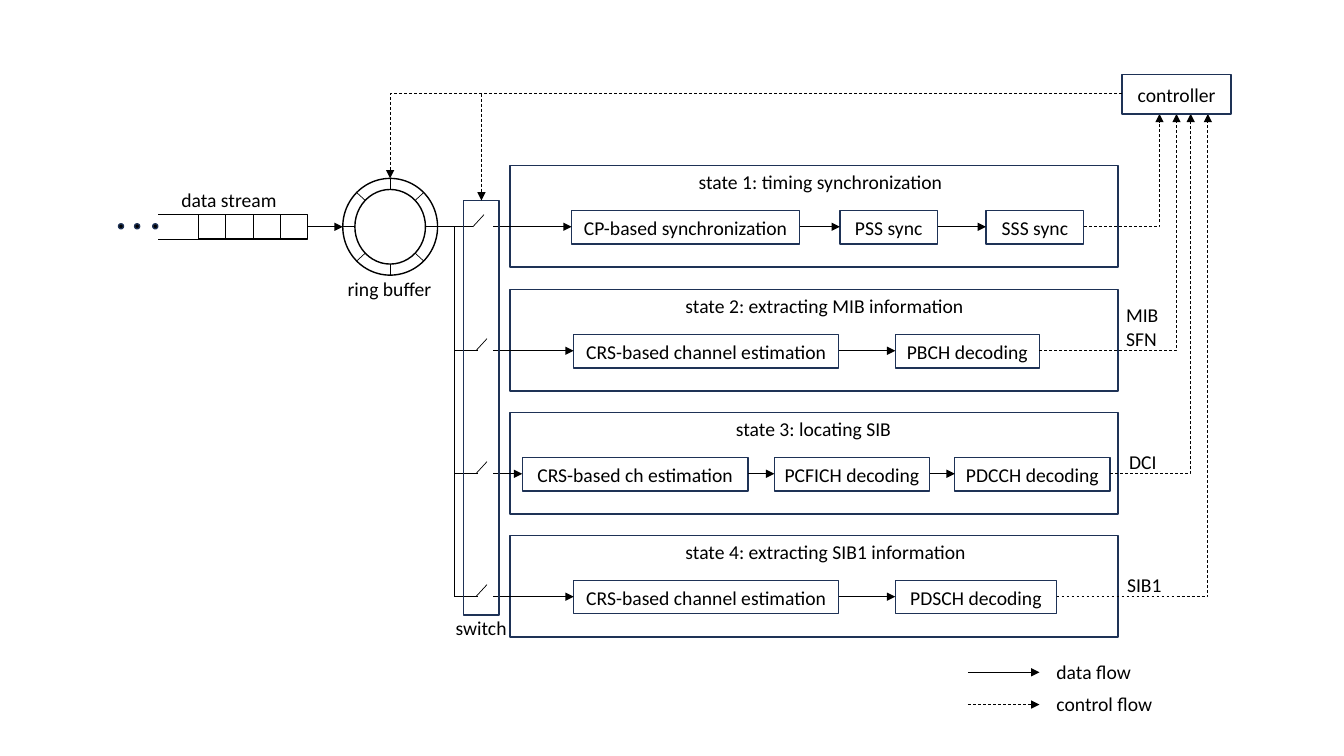
import itertools
import math
import lxml.etree
import pptx
import pptx.dml.color
import pptx.enum.dml
import pptx.enum.shapes
import pptx.enum.text
import pptx.oxml.ns
import pptx.util

# Content: lengths in px, 100 px to the inch
SCALE = 9144
BLACK = pptx.dml.color.RGBColor(0, 0, 0)
NAVY = pptx.dml.color.RGBColor(0x1E, 0x32, 0x56)
FONT, FONT_SIZE = "Calibri", 14

# Each state: top, heading, heading left, blocks (text, left, width),
# x where its control flow reaches the controller
STATES = [
    (164, "state 1: timing synchronization", 683,
     [("CP-based synchronization", 567, 226), ("PSS sync", 833, 97), ("SSS sync", 978, 97)], 1150),
    (287, "state 2: extracting MIB information", 670,
     [("CRS-based channel estimation", 569, 263), ("PBCH decoding", 888, 143)], 1167),
    (409, "state 3: locating SIB", 720,
     [("CRS-based ch estimation", 518, 224), ("PCFICH decoding", 768, 154),
      ("PDCCH decoding", 947, 154)], 1181),
    (531, "state 4: extracting SIB1 information", 670,
     [("CRS-based channel estimation", 569, 263), ("PDSCH decoding", 888, 160)], 1198),
]
# Labels: lines, left, top, width
LABELS = [
    (["data stream"], 170, 182, 183),
    (["ring buffer"], 335, 270, 124),
    (["switch"], 442, 606, 124),
    (["MIB", "SFN"], 1107, 296, 57),
    (["DCI"], 1110, 441, 57),
    (["SIB1"], 1108, 563, 57),
]
LEGEND = [("data flow", 667, False), ("control flow", 699, True)]

STATE_LEFT, STATE_WIDTH, STATE_HEIGHT = 506, 603, 101
BLOCK_OFFSET, BLOCK_HEIGHT, FLOW_OFFSET = 45, 33, 61
CONTROLLER = (1113, 74, 108, 39)
SWITCH = (460, 199, 35, 411)
QUEUE = (197, 213, 108, 24)
DOT_CENTRES, DOT_SIZE = (120, 136, 154), 5
RING_CENTRE, OUTER_RADII, INNER_RADII = (387, 225), (47, 48), (35, 37)
TRUNK, CONTACT = 451, 489

SHAPES = pptx.enum.shapes.MSO_SHAPE
deck = pptx.Presentation()
deck.slide_width, deck.slide_height = 1333 * SCALE, 750 * SCALE
page = deck.slides.add_slide(deck.slide_layouts[6])


def write(frame, lines, centred=False):
    frame.word_wrap = True
    para = frame.paragraphs[0]
    if centred:
        para.alignment = pptx.enum.text.PP_ALIGN.CENTER
    for index, line in enumerate(lines):
        if index:
            para.add_line_break()
        span = para.add_run()
        span.text = line
        span.font.name, span.font.size = FONT, pptx.util.Pt(FONT_SIZE)
        span.font.color.rgb = BLACK


def add_outline(preset, left, top, width, height, color=NAVY, fill=None, text=None):
    shape = page.shapes.add_shape(preset, *(round(v * SCALE) for v in (left, top, width, height)))
    shape.shadow.inherit = False
    shape.line.color.rgb, shape.line.width = color, pptx.util.Pt(1)
    if fill is None:
        shape.fill.background()
    else:
        shape.fill.solid()
        shape.fill.fore_color.rgb = fill
    if text:
        frame = shape.text_frame
        frame.margin_left = frame.margin_right = 0
        frame.vertical_anchor = pptx.enum.text.MSO_ANCHOR.MIDDLE
        write(frame, [text], centred=True)


def add_label(lines, left, top, width):
    height = 34 + 23 * (len(lines) - 1)
    box = page.shapes.add_textbox(*(v * SCALE for v in (left, top, width, height)))
    box.text_frame.auto_size = pptx.enum.text.MSO_AUTO_SIZE.SHAPE_TO_FIT_TEXT
    write(box.text_frame, lines)


def add_line(start, end, arrow=False, dashed=False, bent=False):
    kinds = pptx.enum.shapes.MSO_CONNECTOR
    line = page.shapes.add_connector(kinds.ELBOW if bent else kinds.STRAIGHT,
                                     *(round(v * SCALE) for v in (*start, *end)))
    line.line.color.rgb, line.line.width = BLACK, pptx.util.Pt(0.5)
    if dashed:
        line.line.dash_style = pptx.enum.dml.MSO_LINE.DASH
    qn = pptx.oxml.ns.qn
    properties = line._element.spPr
    if bent:  # one corner: across, then up or down
        properties.find(qn("a:prstGeom")).set("prst", "bentConnector2")
    if arrow:
        lxml.etree.SubElement(properties.find(qn("a:ln")), qn("a:tailEnd"), type="triangle")
    lxml.etree.SubElement(properties, qn("a:effectLst"))


# Data stream queue
left, top, width, height = QUEUE
add_outline(SHAPES.RECTANGLE, *QUEUE, color=BLACK)
for y in (top, top + height):
    add_line((left + width / 2, y), (157, y))
for cell in (1, 2, 3):
    x = left + cell * width / 4
    add_line((x, top), (x, top + height))
for x in DOT_CENTRES:
    add_outline(SHAPES.OVAL, x - DOT_SIZE / 2, 222, DOT_SIZE, DOT_SIZE, fill=BLACK)

# Ring buffer with eight spokes
ring_x, ring_y = RING_CENTRE
for radius_x, radius_y in (OUTER_RADII, INNER_RADII):
    add_outline(SHAPES.OVAL, ring_x - radius_x, ring_y - radius_y,
                2 * radius_x, 2 * radius_y, color=BLACK)
for step in range(8):
    angle = step * math.pi / 4
    inner, outer = ((ring_x + rx * math.cos(angle), ring_y + ry * math.sin(angle))
                    for rx, ry in (INNER_RADII, OUTER_RADII))
    add_line(inner, outer)
ring_left, ring_right = ring_x - OUTER_RADII[0], ring_x + OUTER_RADII[0]
add_line((left + width, ring_y), (ring_left, ring_y), arrow=True)

# States, their blocks and their switch contacts
controller_bottom = CONTROLLER[1] + CONTROLLER[3]
for index, (top, heading, heading_left, blocks, return_x) in enumerate(STATES):
    flow = top + FLOW_OFFSET
    add_outline(SHAPES.RECTANGLE, STATE_LEFT, top, STATE_WIDTH, STATE_HEIGHT)
    add_label([heading], heading_left, top, 312)
    lead_start, blade = (TRUNK, 472) if index else (ring_right, 469)
    add_line((lead_start, flow), (blade + 2 if index else blade, flow))
    add_line((blade, flow), (blade + 11, flow - 12))
    source = CONTACT
    for text, block_left, block_width in blocks:
        add_outline(SHAPES.RECTANGLE, block_left, top + BLOCK_OFFSET,
                    block_width, BLOCK_HEIGHT, text=text)
        add_line((source, flow), (block_left, flow), arrow=True)
        source = block_left + block_width
    add_line((source, flow), (return_x, controller_bottom), arrow=True, dashed=True, bent=True)

# Trunk feeding the lower contacts
flows = [state[0] + FLOW_OFFSET for state in STATES]
add_line((ring_right, flows[0]), (TRUNK, flows[1]), bent=True)
for upper, lower in zip(flows[1:], flows[2:]):
    add_line((TRUNK, upper), (TRUNK, lower))

# Switch, controller and the control flow to ring and switch
add_outline(SHAPES.RECTANGLE, *SWITCH)
add_outline(SHAPES.RECTANGLE, *CONTROLLER, text="controller")
control_y = 93
add_line((CONTROLLER[0], control_y), (ring_x, ring_y - OUTER_RADII[1]),
         arrow=True, dashed=True, bent=True)
switch_x = SWITCH[0] + SWITCH[2] / 2
add_line((switch_x, control_y), (switch_x, SWITCH[1]), arrow=True, dashed=True)

# Labels and legend
for label in LABELS:
    add_label(*label)
for text, y, dashed in LEGEND:
    add_line((960, y), (1031, y), arrow=True, dashed=dashed)
    add_label([text], 1038, y - 17, 183)

deck.save("out.pptx")
